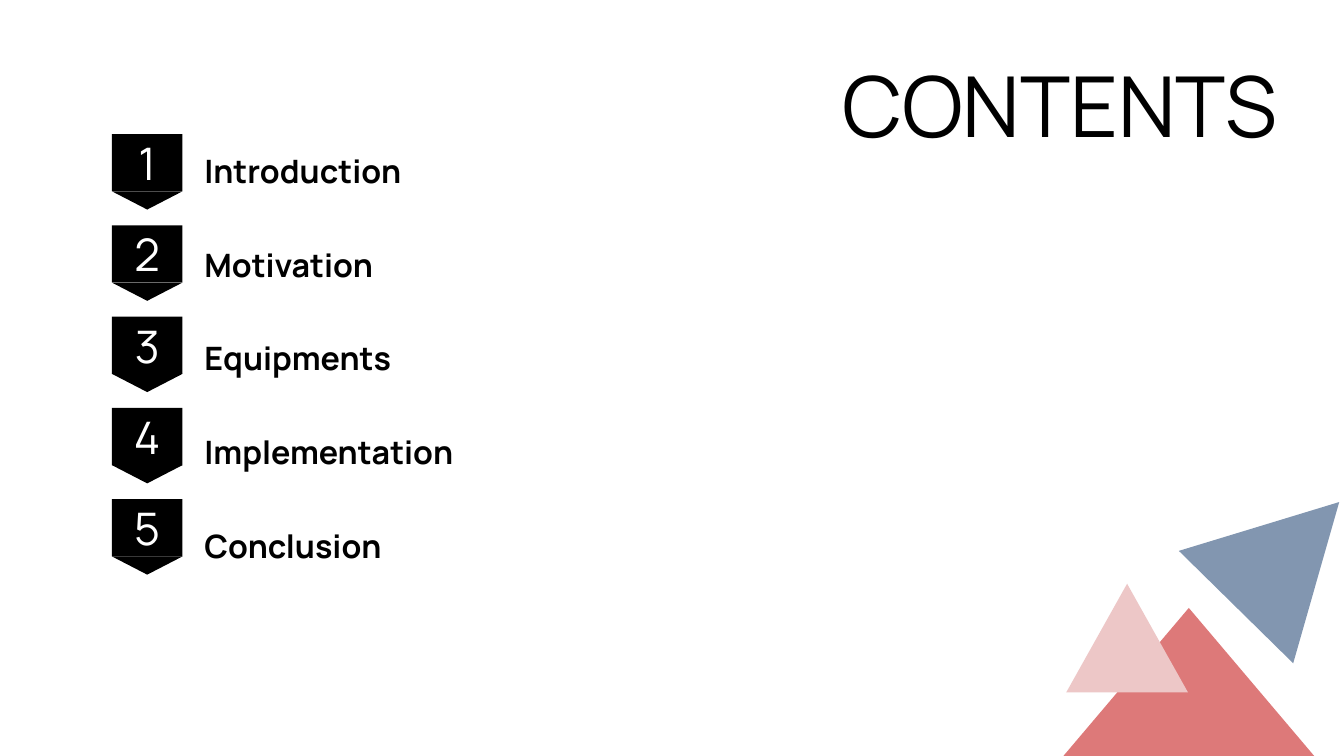
from pptx import Presentation
from pptx.dml.color import RGBColor
from pptx.enum.shapes import MSO_SHAPE
from pptx.enum.text import MSO_ANCHOR, MSO_AUTO_SIZE, PP_ALIGN
from pptx.util import Cm, Pt

COLORS = {"ink": "000000", "paper": "FFFFFF", "red": "DD7979",
          "pink": "EDC7C7", "blue": "8296B0"}
CHAPTERS = ["Introduction", "Motivation", "Equipments", "Implementation", "Conclusion"]


def write(tf, text, font="Manrope", size=23, color="ink", bold=False,
          align=PP_ALIGN.LEFT, anchor=MSO_ANCHOR.TOP, spacing=1.0):
    """Put one formatted paragraph into a text frame."""
    tf.word_wrap = True
    tf.auto_size = MSO_AUTO_SIZE.NONE
    tf.vertical_anchor = anchor
    p = tf.paragraphs[0]
    p.alignment = align
    p.line_spacing = spacing
    r = p.add_run()
    r.text = text
    r.font.name = font
    r.font.size = Pt(size)
    r.font.bold = bold
    r.font.color.rgb = RGBColor.from_string(COLORS[color])


class Deck:
    """Hold the style and the current slide."""

    def __init__(self, width, height, font="Manrope"):
        """Open a presentation of the given size in centimetres."""
        self.prs = Presentation()
        self.prs.slide_width, self.prs.slide_height = Cm(width), Cm(height)
        self.font = font
        self.s = None

    def add_slide(self):
        """Start a title-only slide."""
        self.s = self.prs.slides.add_slide(self.prs.slide_layouts[5])

    def title(self, text, x, y, w, h):
        """Place and format the title placeholder."""
        sp = self.s.shapes.title
        sp.left, sp.top, sp.width, sp.height = Cm(x), Cm(y), Cm(w), Cm(h)
        write(sp.text_frame, text, font=self.font, size=60, align=PP_ALIGN.CENTER)

    def shape(self, kind, x, y, w, h, color, rotation=0):
        """Draw a flat preset shape."""
        sp = self.s.shapes.add_shape(kind, Cm(x), Cm(y), Cm(w), Cm(h))
        sp.shadow.inherit = False
        sp.fill.solid()
        sp.fill.fore_color.rgb = RGBColor.from_string(COLORS[color])
        sp.line.fill.background()
        sp.rotation = rotation
        return sp

    def triangle(self, x, y, w, h, color, rotation=0):
        """Draw an isosceles triangle."""
        self.shape(MSO_SHAPE.ISOSCELES_TRIANGLE, x, y, w, h, color, rotation)

    def badge(self, number, x, y, w=1.78, h=1.44, tip=0.46):
        """Draw a numbered square with a tip pointing down."""
        sp = self.shape(MSO_SHAPE.RECTANGLE, x, y, w, h, "ink")
        write(sp.text_frame, str(number), font=self.font, size=32, color="paper",
              align=PP_ALIGN.CENTER, anchor=MSO_ANCHOR.MIDDLE)
        self.triangle(x, y + h, w, tip, "ink", 180)

    def label(self, text, x, y, w=10.41, h=1.52):
        """Write a bold chapter name."""
        sp = self.s.shapes.add_textbox(Cm(x), Cm(y), Cm(w), Cm(h))
        write(sp.text_frame, text, font=self.font, bold=True, spacing=1.3)


def main():
    """Build the contents slide."""
    deck = Deck(33.87, 19.05)
    deck.add_slide()
    deck.triangle(26.8, 15.32, 6.32, 3.73, "red")
    deck.triangle(26.87, 14.71, 3.07, 2.74, "pink")
    deck.triangle(30.43, 12.12, 4.04, 3.71, "blue", 44.5)
    for i, chapter in enumerate(CHAPTERS):
        deck.badge(i + 1, 2.82, 3.38 + i * 2.3)
        deck.label(chapter, 4.9, 3.4 + i * 2.36)
    deck.title("CONTENTS", 20.32, 1.22, 12.78, 2.82)
    deck.prs.save("out.pptx")


if __name__ == "__main__":
    main()
